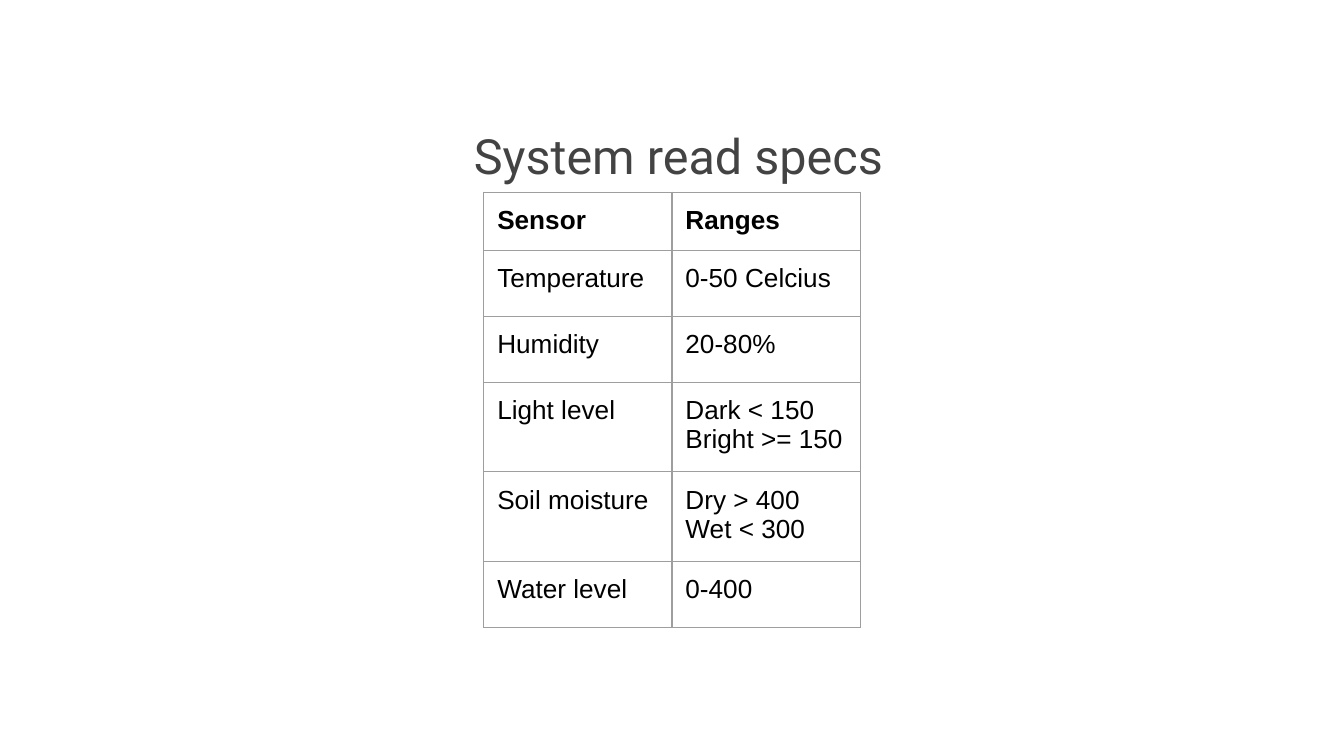
"""Build a slide with a table of sensor reading ranges."""
from lxml.etree import SubElement
from pptx import Presentation
from pptx.dml.color import RGBColor
from pptx.enum.text import MSO_ANCHOR as Anchor, PP_ALIGN as Align
from pptx.oxml.ns import qn
from pptx.util import Inches, Pt

WHITE = RGBColor(0xFF, 0xFF, 0xFF)
BLACK = RGBColor(0x00, 0x00, 0x00)
DARK_GRAY = RGBColor(0x43, 0x43, 0x43)
BORDER_GRAY = RGBColor(0x9E, 0x9E, 0x9E)

SENSOR_ROWS = [
    ("Sensor", "Ranges", 0.36),
    ("Temperature", "0-50 Celcius", 0.49),
    ("Humidity", "20-80%", 0.49),
    ("Light level", "Dark < 150\nBright >= 150", 0.49),
    ("Soil moisture", "Dry > 400\nWet < 300", 0.66),
    ("Water level", "0-400", 0.49),
]


def write_text(frame, text, font="Arial", size=14, color=BLACK, bold=False,
               align=Align.LEFT, line_spacing=None, space_after=None):
    frame.text = text
    for paragraph in frame.paragraphs:
        paragraph.alignment = align
        paragraph.line_spacing = line_spacing
        paragraph.space_after = space_after
        for run in paragraph.runs:
            run.font.name = font
            run.font.size = Pt(size)
            run.font.bold = bold
            run.font.color.rgb = color


class SlideBuilder:
    margin = Inches(0.1)
    border_width = Pt(0.75)

    def __init__(self, presentation):
        self.slide = presentation.slides.add_slide(presentation.slide_layouts[6])
        fill = self.slide.background.fill
        fill.solid()
        fill.fore_color.rgb = WHITE

    def set_margins(self, holder):
        holder.margin_left = holder.margin_right = self.margin
        holder.margin_top = holder.margin_bottom = self.margin

    def add_title(self, text, left, top, width, height):
        box = self.slide.shapes.add_textbox(
            Inches(left), Inches(top), Inches(width), Inches(height))
        frame = box.text_frame
        frame.word_wrap = True
        frame.vertical_anchor = Anchor.TOP
        self.set_margins(frame)
        write_text(frame, text, font="Roboto", size=26, color=DARK_GRAY,
                   align=Align.CENTER, line_spacing=1.15, space_after=Pt(12))

    def add_border(self, cell):
        properties = cell._tc.get_or_add_tcPr()
        for side in ("a:lnL", "a:lnR", "a:lnT", "a:lnB"):
            line = SubElement(properties, qn(side), w=str(self.border_width))
            fill = SubElement(line, qn("a:solidFill"))
            SubElement(fill, qn("a:srgbClr"), val=str(BORDER_GRAY))

    def add_sensor_table(self, rows, left, top, size, column_width):
        shape = self.slide.shapes.add_table(
            len(rows), 2, Inches(left), Inches(top), Inches(size), Inches(size))
        table = shape.table
        table.horz_banding = False
        for column in table.columns:
            column.width = Inches(column_width)
        for row_index, (*texts, row_height) in enumerate(rows):
            table.rows[row_index].height = Inches(row_height)
            for column_index, text in enumerate(texts):
                cell = table.cell(row_index, column_index)
                self.set_margins(cell)
                self.add_border(cell)
                cell.fill.background()
                write_text(cell.text_frame, text, bold=row_index == 0)
        shape.width = shape.height = Inches(size)


def main():
    presentation = Presentation()
    presentation.slide_width = Inches(10)
    presentation.slide_height = Inches(10 * 9 / 16)
    builder = SlideBuilder(presentation)
    builder.add_title("System read specs", 2.99, 0.77, 4.12, 1.02)
    builder.add_sensor_table(SENSOR_ROWS, 3.6, 1.43, 3.28, 1.4)
    presentation.save("out.pptx")


if __name__ == "__main__":
    main()
